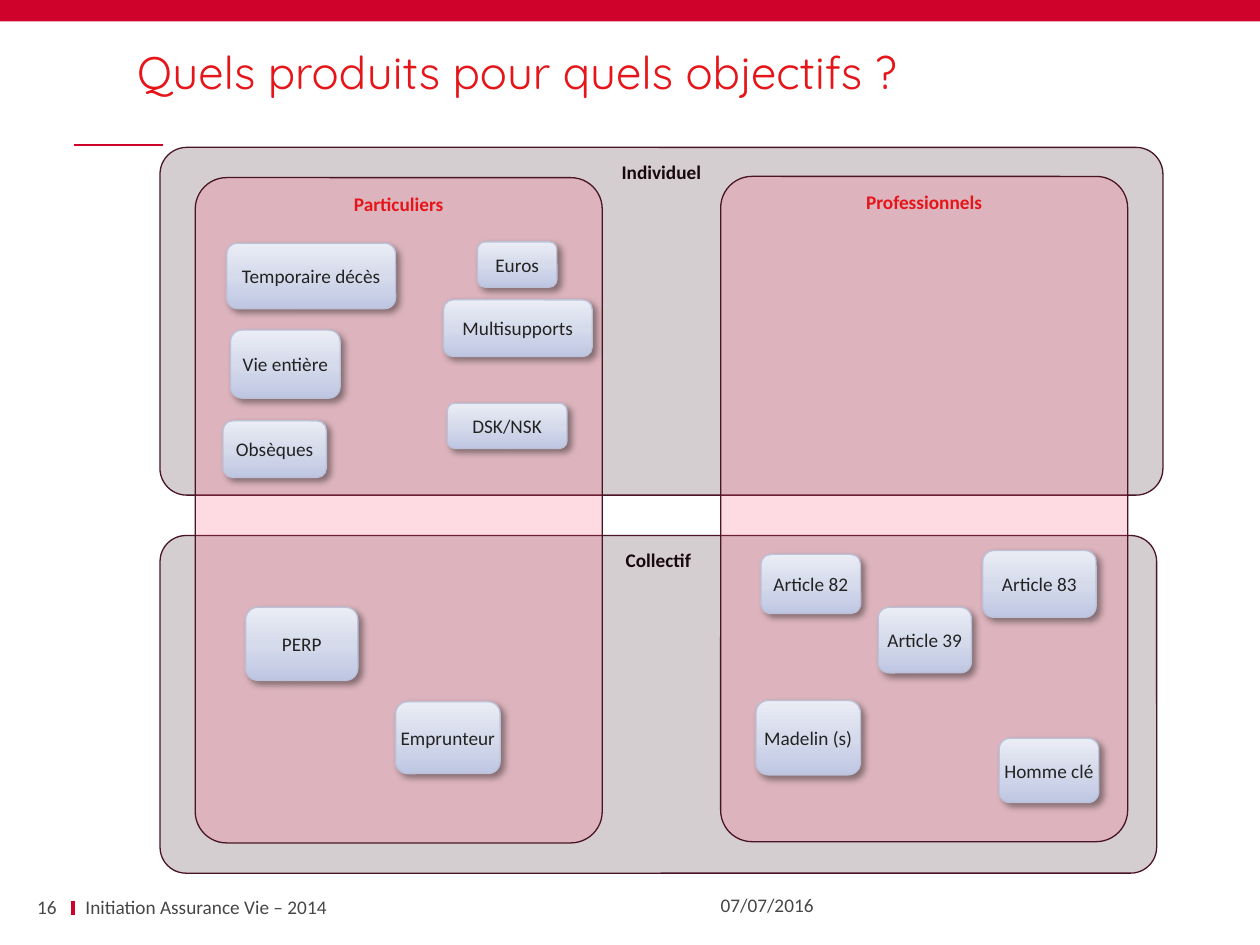
from copy import deepcopy

from lxml.etree import SubElement
from pptx import Presentation
from pptx.dml.color import RGBColor
from pptx.enum.shapes import MSO_CONNECTOR, MSO_SHAPE
from pptx.enum.text import MSO_ANCHOR, PP_ALIGN
from pptx.oxml.ns import qn
from pptx.util import Inches, Pt

COLORS = {
    "band": "CF022B",
    "title": "E51519",
    "footer": "464646",
    "contract": "300E19",
    "customer": "FD4C70",
    "outline": "491425",
    "heading": "18070C",
    "product": "232323",
    "product_line": "BBC2D7",
    "shadow": "000000",
}
PRODUCT_GRADIENT = [(0, "BEC6E2"), (0.5, "D6DBEC"), (1, "EAEDF5")]


def write(shape, text, color, size=11, font="Calibri", bold=False,
          align=PP_ALIGN.LEFT, anchor=MSO_ANCHOR.MIDDLE, margins=(0.1, 0.05), wrap=True):
    frame = shape.text_frame
    frame.word_wrap = wrap
    frame.vertical_anchor = anchor
    frame.margin_left = frame.margin_right = Inches(margins[0])
    frame.margin_top = frame.margin_bottom = Inches(margins[1])
    paragraph = frame.paragraphs[0]
    paragraph.alignment = align
    run = paragraph.add_run()
    run.text = text
    run.font.name = font
    run.font.size = Pt(size)
    run.font.bold = bold
    run.font.color.rgb = RGBColor.from_string(COLORS[color])
    return paragraph


def add_box(kind, box, line=None):
    shape = slide.shapes.add_shape(kind, *map(Inches, box))
    shape.shadow.inherit = False
    if line:
        shape.line.color.rgb = RGBColor.from_string(COLORS[line])
        shape.line.width = Pt(0.75)
    else:
        shape.line.fill.background()
    return shape


prs = Presentation()
prs.slide_width, prs.slide_height = Inches(10), Inches(7.5)
slide = prs.slides.add_slide(prs.slide_layouts[6])

# Footer tick and title rule
for x1, y1, x2, y2, width in [(0.58, 7.15, 0.58, 7.26, 2.25), (0.59, 1.15, 1.29, 1.15, 1)]:
    rule = slide.shapes.add_connector(MSO_CONNECTOR.STRAIGHT, *map(Inches, (x1, y1, x2, y2)))
    rule.line.color.rgb = RGBColor.from_string(COLORS["band"])
    rule.line.width = Pt(width)
    SubElement(rule._element.spPr, qn("a:effectLst"))

# Top band
band = add_box(MSO_SHAPE.RECTANGLE, (0, 0, 10, 0.17))
band.fill.solid()
band.fill.fore_color.rgb = RGBColor.from_string(COLORS["band"])

# Footer: date, course name, page number
for text, box, align, margin in [
    ("07/07/2016", (5.62, 7.07, 1.19, 0.23), PP_ALIGN.LEFT, 0.1),
    ("Initiation Assurance Vie – 2014", (0.58, 7.11, 4.97, 0.18), PP_ALIGN.LEFT, 0.1),
    ("16", (0.13, 7.11, 0.32, 0.18), PP_ALIGN.RIGHT, 0),
]:
    footer = slide.shapes.add_textbox(*map(Inches, box))
    write(footer, text, "footer", align=align, margins=(margin, 0.05))

# Title
title = slide.shapes.add_textbox(*map(Inches, (0.99, 0.21, 8.72, 0.8)))
write(title, "Quels produits pour quels objectifs ?", "title", 26, "Quicksand").line_spacing = 0.8

# Contract types (rows) crossed by customer types (columns)
for text, box, fill, color in [
    ("Individuel", (1.27, 1.17, 7.96, 2.76), "contract", "heading"),
    ("Collectif", (1.27, 4.25, 7.91, 2.68), "contract", "heading"),
    ("Particuliers", (1.55, 1.41, 3.23, 5.28), "customer", "title"),
    ("Professionnels", (5.72, 1.4, 3.23, 5.28), "customer", "title"),
]:
    zone = add_box(MSO_SHAPE.ROUNDED_RECTANGLE, box, "outline")
    zone.adjustments[0] = 0.077
    zone.fill.solid()
    zone.fill.fore_color.rgb = RGBColor.from_string(COLORS[fill])
    tint = zone._element.spPr.find(qn("a:solidFill"))[0]
    SubElement(tint, qn("a:alpha"), val="20000")
    write(zone, text, color, bold=True, align=PP_ALIGN.CENTER,
          anchor=MSO_ANCHOR.TOP, margins=(0.04, 0.04))

# Products
for text, box in [
    ("Temporaire décès", (1.8, 1.93, 1.34, 0.52)),
    ("Vie entière", (1.83, 2.62, 0.87, 0.54)),
    ("Obsèques", (1.77, 3.34, 0.82, 0.45)),
    ("Multisupports", (3.52, 2.38, 1.18, 0.45)),
    ("DSK/NSK", (3.55, 3.2, 0.95, 0.36)),
    ("Euros", (3.79, 1.92, 0.63, 0.36)),
    ("Article 82", (6.04, 4.4, 0.79, 0.47)),
    ("Article 83", (7.8, 4.37, 0.9, 0.53)),
    ("Article 39", (6.97, 4.82, 0.74, 0.52)),
    ("PERP", (1.95, 4.82, 0.89, 0.58)),
    ("Emprunteur", (3.14, 5.57, 0.83, 0.57)),
    ("Homme clé", (7.93, 5.86, 0.79, 0.51)),
    ("Madelin (s)", (6, 5.56, 0.83, 0.59)),
]:
    product = add_box(MSO_SHAPE.ROUNDED_RECTANGLE, box, "product_line")
    product.fill.gradient()
    product.fill.gradient_angle = 90
    properties = product._element.spPr
    stop_list = properties.find(qn("a:gradFill")).find(qn("a:gsLst"))
    stop_list.insert(1, deepcopy(stop_list[0]))
    for stop, (position, color) in zip(product.fill.gradient_stops, PRODUCT_GRADIENT):
        stop.position = position
        stop.color.rgb = RGBColor.from_string(color)
    shadow = SubElement(properties.find(qn("a:effectLst")), qn("a:outerShdw"),
                        blurRad=str(Pt(4)), dist=str(Pt(3)), dir=str(45 * 60000),
                        algn="tl", rotWithShape="0")
    shade = SubElement(shadow, qn("a:srgbClr"), val=COLORS["shadow"])
    SubElement(shade, qn("a:alpha"), val="40000")
    write(product, text, "product", align=PP_ALIGN.CENTER, margins=(0.04, 0.04), wrap=False)

prs.save("out.pptx")
